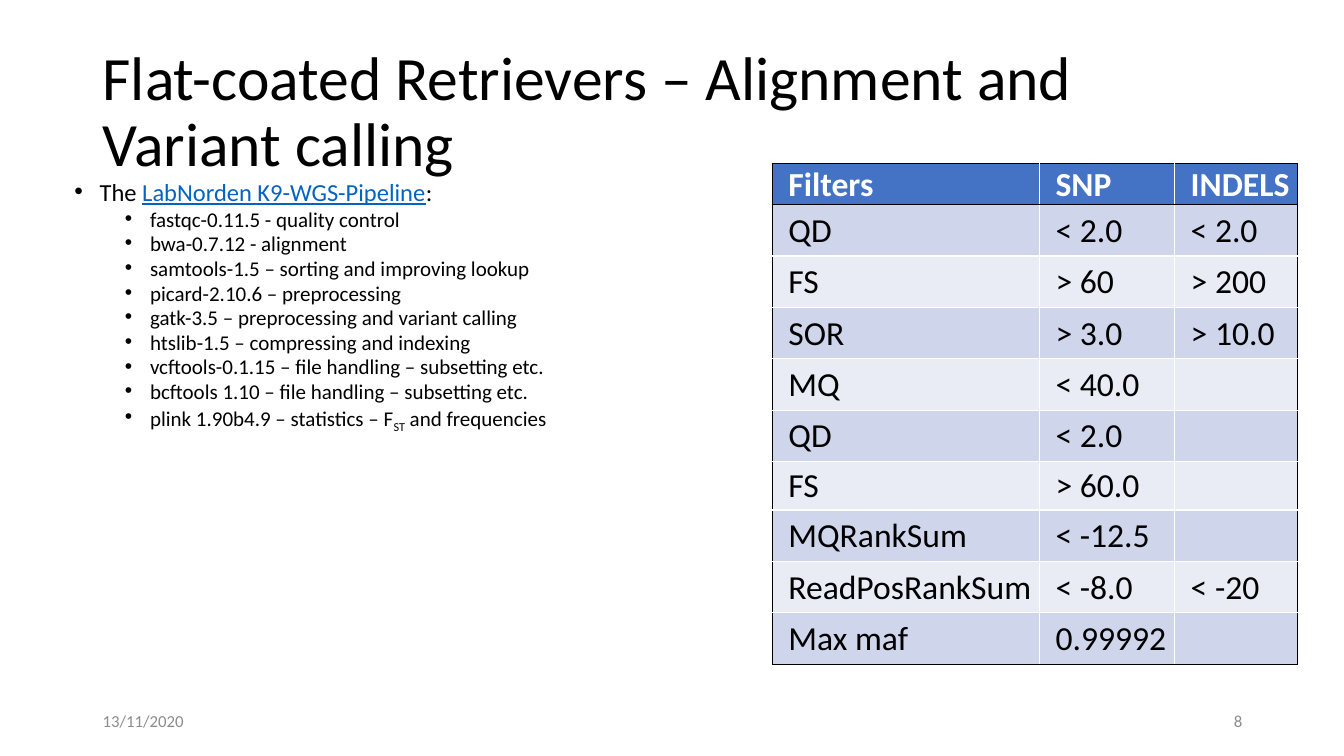
from lxml import etree
from pptx import Presentation
from pptx.dml.color import RGBColor
from pptx.enum.text import MSO_ANCHOR, PP_ALIGN
from pptx.oxml.ns import qn
from pptx.util import Inches, Pt

TOP, MIDDLE, BOTTOM = MSO_ANCHOR.TOP, MSO_ANCHOR.MIDDLE, MSO_ANCHOR.BOTTOM
LEFT, RIGHT = PP_ALIGN.LEFT, PP_ALIGN.RIGHT

COLORS = {
    "black": "000000",
    "white": "FFFFFF",
    "link": "0563C1",
    "footer": "8C8C8C",
    "header": "4472C4",
    "odd": "CFD5EA",
    "even": "E9EBF5",
}

TOOLS = [
    "fastqc-0.11.5 - quality control",
    "bwa-0.7.12 - alignment",
    "samtools-1.5 – sorting and improving lookup",
    "picard-2.10.6 – preprocessing",
    "gatk-3.5 – preprocessing and variant calling",
    "htslib-1.5 – compressing and indexing",
    "vcftools-0.1.15 – file handling – subsetting etc.",
    "bcftools 1.10 – file handling – subsetting etc.",
]

FILTERS = [
    ("Filters", "SNP", "INDELS"),
    ("QD", "< 2.0", "< 2.0"),
    ("FS", "> 60", "> 200"),
    ("SOR", "> 3.0", "> 10.0"),
    ("MQ", "< 40.0", ""),
    ("QD", "< 2.0", ""),
    ("FS", "> 60.0", ""),
    ("MQRankSum", "< -12.5", ""),
    ("ReadPosRankSum", "< -8.0", "< -20"),
    ("Max maf", "0.99992", ""),
]
COLUMN_WIDTHS = [2.65, 1.34, 1.22]
ROW_HEIGHTS = [0.41] + [0.51] * 5 + [0.48] + [0.51] * 3


class SlideBuilder:
    """Holds the text style and the current slide and adds elements to it."""

    def __init__(self, slide, font="Calibri"):
        self.slide = slide
        self.font = font

    def style(self, run, size, color="black", bold=False):
        run.font.name = self.font
        run.font.size = Pt(size)
        run.font.bold = bold
        run.font.color.rgb = RGBColor.from_string(COLORS[color])

    def text_box(self, left, top, width, height, anchor):
        shape = self.slide.shapes.add_textbox(
            Inches(left), Inches(top), Inches(width), Inches(height))
        text_frame = shape.text_frame
        text_frame.word_wrap = True
        text_frame.vertical_anchor = anchor
        return text_frame

    def label(self, text, left, top, width, height, size, color="black",
              align=LEFT, line_spacing=1.0):
        text_frame = self.text_box(left, top, width, height, MIDDLE)
        text_frame.text = text
        paragraph = text_frame.paragraphs[0]
        paragraph.alignment = align
        paragraph.line_spacing = line_spacing
        self.style(paragraph.runs[0], size, color)

    def bullet(self, paragraph, texts, level):
        paragraph.level = level
        paragraph.line_spacing = 0.7
        paragraph.space_before = Pt(5 if level else 10)
        properties = paragraph._p.get_or_add_pPr()
        properties.set("marL", str(Inches(0.25 + 0.5 * level)))
        properties.set("indent", str(Inches(-0.25)))
        etree.SubElement(properties, qn("a:buFont"), typeface="Arial")
        etree.SubElement(properties, qn("a:buChar"), char="•")
        for text in texts:
            run = paragraph.add_run()
            run.text = text
            self.style(run, 15 if level else 17.5)
        return paragraph.runs

    def tool_list(self, left, top, width, height):
        text_frame = self.text_box(left, top, width, height, TOP)
        heading = ["The ", "LabNorden K9-WGS-Pipeline", ":"]
        link = self.bullet(text_frame.paragraphs[0], heading, 0)[1]
        link.font.underline = True
        link.font.color.rgb = RGBColor.from_string(COLORS["link"])
        for tool in TOOLS:
            self.bullet(text_frame.add_paragraph(), [tool], 1)
        plink = ["plink 1.90b4.9 – statistics – F", "ST", " and frequencies"]
        subscript = self.bullet(text_frame.add_paragraph(), plink, 1)[1]
        subscript._r.get_or_add_rPr().set("baseline", "-25000")

    def borders(self, cell, colors):
        properties = cell._tc.get_or_add_tcPr()
        for index, (side, color) in enumerate(zip("LRTB", colors)):
            line = etree.Element(qn(f"a:ln{side}"), w=str(Pt(1)))
            fill = etree.SubElement(line, qn("a:solidFill"))
            etree.SubElement(fill, qn("a:srgbClr"), val=COLORS[color])
            properties.insert(index, line)

    def cell(self, cell, text, header, fill):
        cell.fill.solid()
        cell.fill.fore_color.rgb = RGBColor.from_string(COLORS[fill])
        cell.vertical_anchor = BOTTOM if header else MIDDLE
        cell.margin_left = Inches(0.16)
        cell.margin_right = cell.margin_top = Inches(0.01)
        cell.margin_bottom = Inches(0)
        if text:
            cell.text_frame.text = text
            self.style(cell.text_frame.paragraphs[0].runs[0], 24,
                       "white" if header else "black", header)

    def table(self, rows, left, top, widths, heights):
        table = self.slide.shapes.add_table(
            len(rows), len(widths), Inches(left), Inches(top),
            Inches(sum(widths)), Inches(sum(heights))).table
        table.horz_banding = False
        for column, width in zip(table.columns, widths):
            column.width = Inches(width)
        last_row, last_column = len(rows) - 1, len(widths) - 1
        for row, texts in enumerate(rows):
            table.rows[row].height = Inches(heights[row])
            fill = "header" if row == 0 else ("even", "odd")[row % 2]
            for column, text in enumerate(texts):
                cell = table.cell(row, column)
                self.cell(cell, text, row == 0, fill)
                outlined = (column == 0, column == last_column,
                            row <= 1, row in (0, last_row))
                self.borders(cell, ["black" if edge else "white"
                                    for edge in outlined])


def main():
    presentation = Presentation()
    presentation.slide_width = Inches(13.33)
    presentation.slide_height = Inches(7.5)
    slide = presentation.slides.add_slide(presentation.slide_layouts[6])
    builder = SlideBuilder(slide)
    builder.label("Flat-coated Retrievers – Alignment and Variant calling",
                  0.92, 0.4, 11.5, 1.45, 44, line_spacing=0.9)
    builder.tool_list(0.64, 1.79, 9.33, 5.11)
    builder.table(FILTERS, 7.66, 1.62, COLUMN_WIDTHS, ROW_HEIGHTS)
    builder.label("13/11/2020", 0.92, 6.95, 3, 0.4, 12, "footer")
    builder.label("8", 9.42, 6.95, 3, 0.4, 12, "footer", RIGHT)
    presentation.save("out.pptx")


if __name__ == "__main__":
    main()
